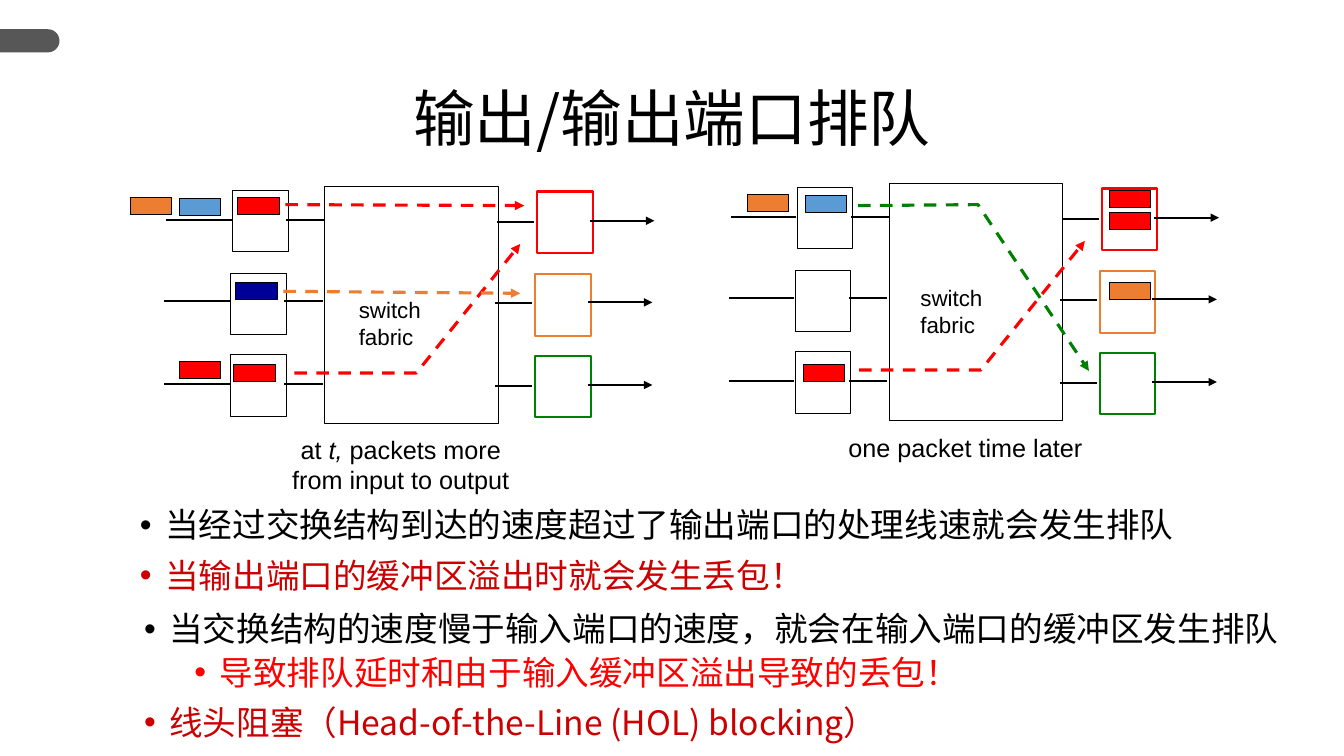
from lxml import etree
from pptx import Presentation, util as u
from pptx.dml.color import RGBColor
from pptx.enum import dml, shapes, text
from pptx.oxml.ns import qn

INK = {
    "black": "000000", "white": "FFFFFF", "grey": "575757", "red": "FF0000",
    "dark": "CC0000", "orange": "ED7D31", "green": "008000",
    "navy": "000099", "blue": "5B9BD5",
}
HAN, LATIN = "Noto Sans CJK SC", "Arial"
# Top of each port box, height of its wire, and sideways shift
ROWS = [(1.89, 2.18, 0), (2.71, 2.99, -0.02), (3.52, 3.81, -0.02)]
PORTS = ["red", "orange", "green"]


def tint(name):
    return RGBColor.from_string(INK[name])


def add_box(slide, x, y, w, h, fill="white", edge="black", width=0.75):
    box = slide.shapes.add_shape(
        shapes.MSO_SHAPE.RECTANGLE,
        u.Inches(x), u.Inches(y), u.Inches(w), u.Inches(h))
    box.shadow.inherit = False
    box.fill.solid()
    box.fill.fore_color.rgb = tint(fill)
    box.line.color.rgb = tint(edge)
    box.line.width = u.Pt(width)


def add_packet(slide, x, y, fill):
    add_box(slide, x, y, 0.41, 0.17, fill)


def style_line(shape, ink, width, dash=False, arrow=False):
    shape.line.color.rgb = tint(ink)
    shape.line.width = u.Pt(width)
    if dash:
        shape.line.dash_style = dml.MSO_LINE.DASH
    if arrow:
        line = shape.line._get_or_add_ln()
        etree.SubElement(line, qn("a:tailEnd"), type="triangle")


def add_line(slide, x1, y1, x2, y2, ink="black", width=1.5, **style):
    line = slide.shapes.add_connector(
        shapes.MSO_CONNECTOR.STRAIGHT,
        u.Inches(x1), u.Inches(y1), u.Inches(x2), u.Inches(y2))
    style_line(line, ink, width, **style)
    etree.SubElement(line._element.spPr, qn("a:effectLst"))


def add_route(slide, points, ink):
    start, *rest = [(u.Inches(x), u.Inches(y)) for x, y in points]
    path = slide.shapes.build_freeform(*start)
    path.add_line_segments(rest, close=False)
    route = path.convert_to_shape()
    route.shadow.inherit = False
    route.fill.background()
    style_line(route, ink, 2.25, dash=True, arrow=True)


def set_font(par, size, face, ink):
    par.font.size = u.Pt(size)
    par.font.name = face
    par.font.color.rgb = tint(ink)
    props = par._p.pPr.find(qn("a:defRPr"))
    etree.SubElement(props, qn("a:ea"), typeface=face)


def add_frame(slide, x, y, w, h, wrap=True):
    box = slide.shapes.add_textbox(
        u.Inches(x), u.Inches(y), u.Inches(w), u.Inches(h))
    box.text_frame.word_wrap = wrap
    return box.text_frame


def next_par(frame, index):
    return frame.add_paragraph() if index else frame.paragraphs[0]


def add_label(slide, x, y, w, h, lines, size, center=True, wrap=True):
    """Each line is a list of (words, italic) runs."""
    frame = add_frame(slide, x, y, w, h, wrap)
    for i, runs in enumerate(lines):
        par = next_par(frame, i)
        par.alignment = text.PP_ALIGN.CENTER if center else text.PP_ALIGN.LEFT
        set_font(par, size, LATIN, "black")
        for words, slant in runs:
            run = par.add_run()
            run.text = words
            if slant:
                run.font.italic = True


def add_bullets(slide, x, y, w, h, items):
    """Each item is (words, colour, level)."""
    frame = add_frame(slide, x, y, w, h)
    for i, (words, ink, level) in enumerate(items):
        par = next_par(frame, i)
        par.text = words
        par.level = level
        props = par._p.get_or_add_pPr()
        props.set("marL", str(u.Inches(0.25 + 0.5 * level)))
        props.set("indent", str(u.Inches(-0.25)))
        etree.SubElement(props, qn("a:buFont"), typeface=LATIN)
        etree.SubElement(props, qn("a:buChar"), char="•")
        par.line_spacing = 0.9
        par.space_before = u.Pt(5 if level else 10)
        set_font(par, 24, HAN, ink)


def add_title(slide, words):
    frame = add_frame(slide, 0, 0.81, 13.33, 0.8)
    frame.vertical_anchor = text.MSO_ANCHOR.MIDDLE
    par = frame.paragraphs[0]
    par.text = words
    par.alignment = text.PP_ALIGN.CENTER
    par.line_spacing = 0.9
    set_font(par, 44, HAN, "black")


def add_tab(slide):
    tab = slide.shapes.add_shape(
        shapes.MSO_SHAPE.ROUND_2_SAME_RECTANGLE,
        u.Inches(0.18), u.Inches(0.11), u.Inches(0.23), u.Inches(0.59))
    tab.rotation = 90
    tab.adjustments[0] = 0.5
    tab.shadow.inherit = False
    tab.fill.solid()
    tab.fill.fore_color.rgb = tint("grey")
    tab.line.fill.background()


def add_switch(slide, dx, dy):
    add_box(slide, 3.22 + dx, 1.85 + dy, 1.72, 2.35)
    for (top, mid, shift), ink in zip(ROWS, PORTS):
        x, y = dx + shift, mid + dy
        add_box(slide, 2.31 + x, top + dy, 0.55, 0.61)
        add_box(slide, 5.33 + x, top + dy + 0.01, 0.55, 0.61,
                edge=ink, width=1.5)
        add_line(slide, 1.65 + x, y, 2.3 + x, y)
        add_line(slide, 2.84 + x, y, 3.22 + x, y)
        add_line(slide, 4.93 + x, y + 0.02, 5.3 + x, y + 0.02)
        add_line(slide, 5.85 + x, y + 0.01, 6.49 + x, y + 0.01, arrow=True)
    # Route from the lowest input to the top output
    add_route(slide, [(x + dx, y + dy) for x, y in
                      [(2.92, 3.7), (4.13, 3.7), (5.16, 2.42)]], "red")


def main():
    deck = Presentation()
    deck.slide_width, deck.slide_height = u.Inches(13.33), u.Inches(7.5)
    slide = deck.slides.add_slide(deck.slide_layouts[6])
    add_tab(slide)
    add_title(slide, "输出/输出端口排队")

    # Switches at time t and one packet time later
    for dx, dy in [(0, 0), (5.6, -0.03)]:
        add_switch(slide, dx, dy)
    for x, y, ink in [
        (2.36, 1.96, "red"), (2.34, 2.8, "navy"), (2.32, 3.62, "red"),
        (1.78, 1.97, "blue"), (1.78, 3.59, "red"), (1.29, 1.96, "orange"),
        (11, 1.89, "red"), (11, 2.11, "red"), (11, 2.8, "orange"),
        (7.99, 1.94, "blue"), (7.97, 3.62, "red"), (7.41, 1.93, "orange"),
    ]:
        add_packet(slide, x, y, ink)

    # Remaining packet routes
    for ends, ink in [((2.83, 2.03, 5.2, 2.04), "red"),
                      ((2.81, 2.89, 5.16, 2.91), "orange")]:
        add_line(slide, *ends, ink, 2.25, dash=True, arrow=True)
    add_route(slide, [(8.51, 2.04), (9.7, 2.03), (10.8, 3.68)], "green")

    # Labels
    for x, y in [(3.46, 2.89), (9.03, 2.77)]:
        add_label(slide, x, y, 0.82, 0.64,
                  [[("switch", False)], [("fabric", False)]], 16,
                  center=False, wrap=False)
    add_label(slide, 2.18, 4.26, 3.59, 0.7, [
        [("at ", False), ("t,", True), (" packets more", False)],
        [("from input to output", False)]], 18)
    add_label(slide, 7.78, 4.24, 3.59, 0.4,
              [[("one packet time later", False)]], 18)

    # Bullet lists
    add_bullets(slide, 1.29, 5, 11.33, 1.3, [
        ("当经过交换结构到达的速度超过了输出端口的处理线速就会发生排队", "black", 0),
        ("当输出端口的缓冲区溢出时就会发生丢包！", "dark", 0)])
    add_bullets(slide, 1.33, 6.03, 11.71, 1.47, [
        ("当交换结构的速度慢于输入端口的速度，就会在输入端口的缓冲区发生排队", "black", 0),
        ("导致排队延时和由于输入缓冲区溢出导致的丢包！", "red", 1),
        ("线头阻塞（Head-of-the-Line (HOL) blocking）", "dark", 0)])
    deck.save("out.pptx")


if __name__ == "__main__":
    main()
